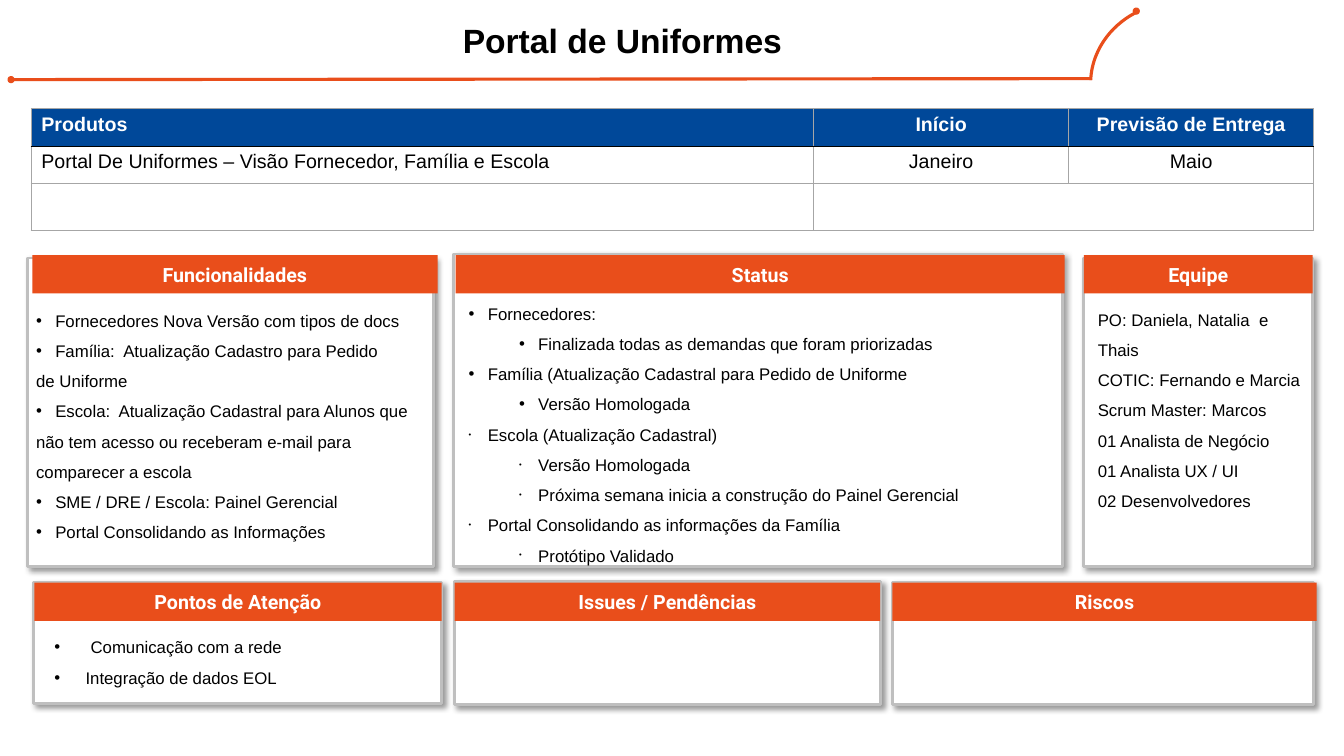
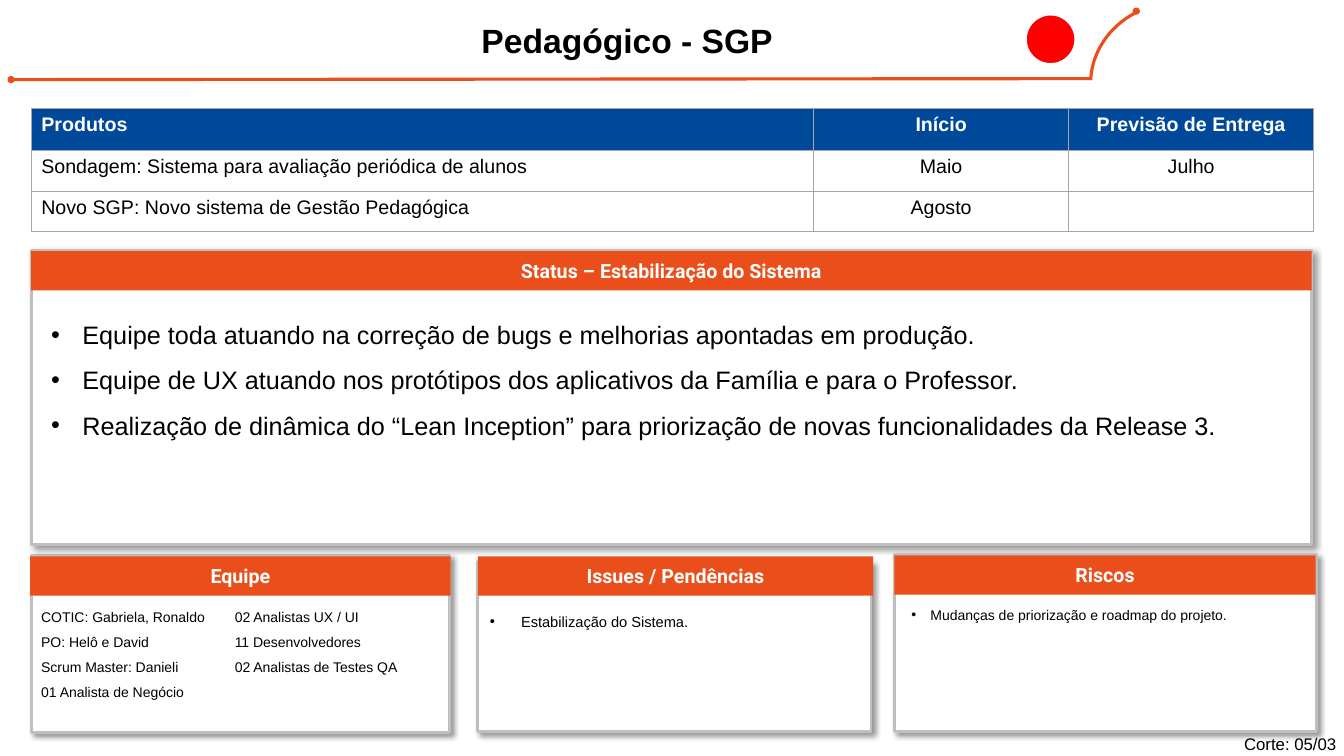
from dataclasses import dataclass
from typing import NamedTuple, Optional

import lxml.etree
import pptx
import pptx.dml.color
import pptx.enum.shapes
import pptx.enum.text
import pptx.oxml.ns
import pptx.util

Inches = pptx.util.Inches
Pt = pptx.util.Pt
qn = pptx.oxml.ns.qn
SHAPE = pptx.enum.shapes.MSO_SHAPE
ALIGN = pptx.enum.text.PP_ALIGN
ANCHOR = pptx.enum.text.MSO_ANCHOR


@dataclass(frozen=True)
class Theme:
    orange: str = "E94E1B"
    blue: str = "004899"
    red: str = "FF0000"
    white: str = "FFFFFF"
    black: str = "000000"
    frame: str = "BFBFBF"
    grid: str = "A6A6A6"
    body_font: str = "Arial"
    band_font: str = "Roboto"
    title: float = 24
    large: float = 18
    heading: float = 14
    body: float = 12
    note: float = 10.5
    small: float = 10
    frame_width: float = 2
    accent_width: float = 2.25
    grid_width: float = 0.96


THEME = Theme()


class Box(NamedTuple):
    left: float
    top: float
    width: float
    height: float

    def lengths(self) -> list:
        return [Inches(v) for v in self]


class Item(NamedTuple):
    text: str
    indent: float = 0
    hanging: float = 0
    level: int = 0
    bullet_percent: int = 100


@dataclass
class TextBlock:
    box: Box
    items: list
    size: float = THEME.body
    line_spacing: float = 1.5
    wrap: bool = True


@dataclass
class Panel:
    heading: str
    frame: Box
    band: Box


@dataclass
class Products:
    row_heights: list
    rows: list
    header_rule: str = THEME.grid
    merge_last: bool = False


@dataclass
class Page:
    title: str
    products: Products
    panels: list
    texts: list
    alert: Optional[Box] = None


def point(text: str, hanging: float = 0.19, indent: Optional[float] = None) -> Item:
    return Item(text, hanging if indent is None else indent, hanging)


def topic(text: str, percent: int = 100) -> Item:
    return Item(text, 0.2, 0.19, 0, percent)


def subtopic(text: str, percent: int = 100) -> Item:
    return Item(text, 0.7, 0.19, 1, percent)


def plain(*texts: str) -> list:
    return [Item(t) for t in texts]


def rgb(colour: str):
    return pptx.dml.color.RGBColor.from_string(colour)


def add_xml(parent, tag: str, **attributes):
    return lxml.etree.SubElement(parent, qn(tag), {k: str(v) for k, v in attributes.items()})


def style(p, size: float, colour: str = THEME.black, bold: bool = False,
          font: str = THEME.body_font, align=ALIGN.LEFT) -> None:
    p.alignment = align
    p.font.name, p.font.size, p.font.bold = font, Pt(size), bold
    p.font.color.rgb = rgb(colour)


def add_bullet(p, item: Item) -> None:
    pPr = p._p.get_or_add_pPr()
    pPr.set("marL", str(Inches(item.indent)))
    pPr.set("indent", str(-Inches(item.hanging)))
    if item.hanging:
        add_xml(add_xml(pPr, "a:buClr"), "a:srgbClr", val=THEME.black)
        add_xml(pPr, "a:buSzPct", val=item.bullet_percent * 1000)
        add_xml(pPr, "a:buFont", typeface=THEME.body_font)
        add_xml(pPr, "a:buChar", char="•")


def add_text(s, block: TextBlock) -> None:
    tf = s.shapes.add_textbox(*block.box.lengths()).text_frame
    tf.word_wrap = block.wrap
    for i, item in enumerate(block.items):
        p = tf.add_paragraph() if i else tf.paragraphs[0]
        p.text, p.level, p.line_spacing = item.text, item.level, block.line_spacing
        add_bullet(p, item)
        style(p, block.size)


def add_shape(s, kind, box: Box, fill: Optional[str], line: Optional[str] = None,
              width: float = THEME.accent_width):
    sp = s.shapes.add_shape(kind, *box.lengths())
    sp.shadow.inherit = False
    if fill:
        sp.fill.solid()
        sp.fill.fore_color.rgb = rgb(fill)
    else:
        sp.fill.background()
    if line:
        sp.line.color.rgb, sp.line.width = rgb(line), Pt(width)
    else:
        sp.line.fill.background()
    return sp


def add_panel(s, panel: Panel) -> None:
    """Draw a shadowed frame with its heading band on top."""
    frame = add_shape(s, SHAPE.RECTANGLE, panel.frame, THEME.white, THEME.frame, THEME.frame_width)
    effects = frame._element.spPr.find(qn("a:effectLst"))
    shadow = add_xml(effects, "a:outerShdw", blurRad=Pt(4), dist=Pt(3), dir=45 * 60000,
                     algn="tl", rotWithShape=0)
    add_xml(add_xml(shadow, "a:srgbClr", val=THEME.black), "a:alpha", val=40000)

    band = add_shape(s, SHAPE.RECTANGLE, panel.band, THEME.orange)
    tf = band.text_frame
    tf.margin_left = tf.margin_right = 0
    tf.margin_top = tf.margin_bottom = Inches(0.08)
    tf.vertical_anchor = ANCHOR.MIDDLE
    p = tf.paragraphs[0]
    p.text = panel.heading
    style(p, THEME.heading, THEME.white, True, THEME.band_font, ALIGN.CENTER)


def add_title(s, text: str) -> None:
    title = s.shapes.title
    title.left, title.top, title.width, title.height = Box(1.01, 0.05, 10.42, 0.75).lengths()
    tf = title.text_frame
    tf.auto_size = pptx.enum.text.MSO_AUTO_SIZE.NONE
    tf.vertical_anchor = ANCHOR.MIDDLE
    p = tf.paragraphs[0]
    p.text, p.line_spacing = text, 0.9
    style(p, THEME.title, bold=True, align=ALIGN.CENTER)


def add_title_rule(s) -> None:
    """Draw the line under the title, its rising arc and the two end dots."""
    arc = add_shape(s, SHAPE.ARC, Box(10.88, -0.04, 1.56, 1.69), None, THEME.orange)
    arc.rotation = 260
    arc.adjustments[0], arc.adjustments[1] = 168.45, 204.94
    rule = s.shapes.add_connector(pptx.enum.shapes.MSO_CONNECTOR.STRAIGHT, Inches(10.83),
                                  Inches(0.78), Inches(0.11), Inches(0.79))
    rule.line.color.rgb, rule.line.width = rgb(THEME.orange), Pt(THEME.accent_width)
    add_xml(rule._element.spPr, "a:effectLst")
    for left, top in ((11.25, 0.09), (0.09, 0.77)):
        add_shape(s, SHAPE.OVAL, Box(left, top, 0.04, 0.04), THEME.orange, THEME.orange)


def add_borders(cell, top: str, bottom: str) -> None:
    tcPr = cell._tc.get_or_add_tcPr()
    sides = {"a:lnL": THEME.grid, "a:lnR": THEME.grid, "a:lnT": top, "a:lnB": bottom}
    for tag, colour in sides.items():
        line = add_xml(tcPr, tag, w=Pt(THEME.grid_width))
        add_xml(add_xml(line, "a:solidFill"), "a:srgbClr", val=colour)


def add_products(s, products: Products) -> None:
    rows = [("Produtos", "Início", "Previsão de Entrega"), *products.rows]
    box = Box(0.31, 1.08, 12.72, sum(products.row_heights))
    table = s.shapes.add_table(len(rows), 3, *box.lengths()).table
    table.horz_banding = False
    for column, width in zip(table.columns, (7.76, 2.53, 2.43)):
        column.width = Inches(width)
    for r, (row, height) in enumerate(zip(rows, products.row_heights)):
        table.rows[r].height = Inches(height)
        header = r == 0
        for c, text in enumerate(row):
            cell = table.cell(r, c)
            add_borders(cell, products.header_rule if r == 1 else THEME.grid,
                        products.header_rule if header else THEME.grid)
            cell.fill.solid()
            cell.fill.fore_color.rgb = rgb(THEME.blue if header else THEME.white)
            p = cell.text_frame.paragraphs[0]
            p.text = text
            style(p, THEME.heading, THEME.white if header else THEME.black, header,
                  align=ALIGN.CENTER if c else ALIGN.LEFT)
    if products.merge_last:
        last = len(rows) - 1
        table.cell(last, 1).merge(table.cell(last, 2))


def add_page(prs, page: Page) -> None:
    s = prs.slides.add_slide(prs.slide_layouts[5])
    add_title(s, page.title)
    add_title_rule(s)
    add_products(s, page.products)
    for panel in page.panels:
        add_panel(s, panel)
    for block in page.texts:
        add_text(s, block)
    if page.alert:
        add_shape(s, SHAPE.OVAL, page.alert, THEME.red, THEME.white, THEME.frame_width)


UNIFORMS = Page(
    "Portal de Uniformes ",
    Products([0.37, 0.37, 0.47],
             [("Portal De Uniformes – Visão Fornecedor, Família e Escola", "Janeiro", "Maio"),
              ("", "", "")], THEME.black, merge_last=True),
    [Panel("Funcionalidades", Box(0.27, 2.56, 4.03, 3.06), Box(0.32, 2.53, 4.02, 0.38)),
     Panel("Status", Box(4.5, 2.52, 6.04, 3.1), Box(4.52, 2.53, 6.04, 0.38)),
     Panel("Equipe", Box(10.75, 2.56, 2.27, 3.06), Box(10.75, 2.53, 2.27, 0.38)),
     Panel("Pontos de Atenção", Box(0.33, 5.78, 4.05, 1.2), Box(0.34, 5.78, 4.04, 0.38)),
     Panel("Issues / Pendências", Box(4.51, 5.77, 4.22, 1.22), Box(4.51, 5.78, 4.22, 0.38)),
     Panel("Riscos", Box(8.85, 5.78, 4.18, 1.21), Box(8.85, 5.78, 4.21, 0.38))],
    [TextBlock(Box(0.25, 2.93, 6.13, 3.32), [
        topic("Fornecedores Nova Versão com tipos de docs"),
        topic("Família:  Atualização Cadastro para Pedido"),
        Item("de Uniforme", 0.01),
        topic("Escola:  Atualização Cadastral para Alunos que"),
        Item("não tem acesso ou receberam e-mail para", 0.01),
        Item("comparecer a escola", 0.01),
        topic("SME / DRE / Escola: Painel Gerencial"),
        topic("Portal Consolidando as Informações")]),
     TextBlock(Box(4.54, 2.86, 6.13, 3.32), [
         topic("Fornecedores:"),
         subtopic("Finalizada todas as demandas que foram priorizadas"),
         topic("Família (Atualização Cadastral para Pedido de Uniforme"),
         subtopic("Versão Homologada"),
         topic("Escola (Atualização Cadastral)", 45),
         subtopic("Versão Homologada", 45),
         subtopic("Próxima semana inicia a construção do Painel Gerencial", 45),
         topic("Portal Consolidando as informações da Família", 45),
         subtopic("Protótipo Validado", 45)]),
     TextBlock(Box(10.79, 2.92, 2.23, 1.97), plain(
         "PO: Daniela, Natalia  e Thais", "COTIC: Fernando e Marcia", "Scrum Master: Marcos",
         "01 Analista de Negócio", "01 Analista UX / UI", "02 Desenvolvedores")),
     TextBlock(Box(0.44, 6.17, 3.98, 0.79), [
         point("Comunicação com a rede", 0.36), point("Integração de dados EOL", 0.31)])])

PEDAGOGY = Page(
    "Pedagógico - SGP",
    Products([0.41, 0.41, 0.4],
             [("Sondagem: Sistema para avaliação periódica de alunos", "Maio", "Julho"),
              ("Novo SGP: Novo sistema de Gestão Pedagógica", "Agosto", "")]),
    [Panel("Equipe", Box(0.31, 5.51, 4.15, 1.76), Box(0.3, 5.52, 4.17, 0.39)),
     Panel("Status – Estabilização do Sistema", Box(0.31, 2.48, 12.7, 2.92),
           Box(0.31, 2.49, 12.7, 0.39)),
     Panel("Issues / Pendências", Box(4.74, 5.57, 3.9, 1.69), Box(4.74, 5.52, 3.92, 0.39)),
     Panel("Riscos", Box(8.87, 5.5, 4.19, 1.76), Box(8.87, 5.51, 4.18, 0.39))],
    [TextBlock(Box(0.31, 5.9, 2.11, 1.3), plain(
        "COTIC: Gabriela, Ronaldo", "PO: Helô e David", "Scrum Master: Danieli",
        "01 Analista de Negócio"), THEME.small),
     TextBlock(Box(2.23, 5.9, 2.11, 1.3), plain(
         "02 Analistas UX / UI", "11 Desenvolvedores", "02 Analistas de Testes QA"), THEME.small),
     TextBlock(Box(8.94, 5.88, 4.03, 1.45),
               [point("Mudanças de priorização e roadmap do projeto.")], THEME.small),
     TextBlock(Box(4.76, 5.94, 3.85, 0.91), [point("Estabilização do Sistema.", 0.31)], THEME.note),
     TextBlock(Box(0.41, 2.97, 12.47, 2.2), [point(text, 0.31) for text in (
         "Equipe toda atuando na correção de bugs e melhorias apontadas em produção.",
         "Equipe de UX atuando nos protótipos dos aplicativos da Família e para o Professor.",
         "Realização de dinâmica do “Lean Inception” para priorização de novas funcionalidades "
         "da Release 3.")], THEME.large),
     TextBlock(Box(12.24, 7.23, 1.12, 0.3), plain("Corte: 05/03"), line_spacing=1.0, wrap=False)],
    alert=Box(10.17, 0.14, 0.5, 0.5))


def main() -> None:
    prs = pptx.Presentation()
    prs.slide_width, prs.slide_height = Inches(13.33), Inches(7.5)
    for page in (UNIFORMS, PEDAGOGY):
        add_page(prs, page)
    prs.save("out.pptx")


if __name__ == "__main__":
    main()
